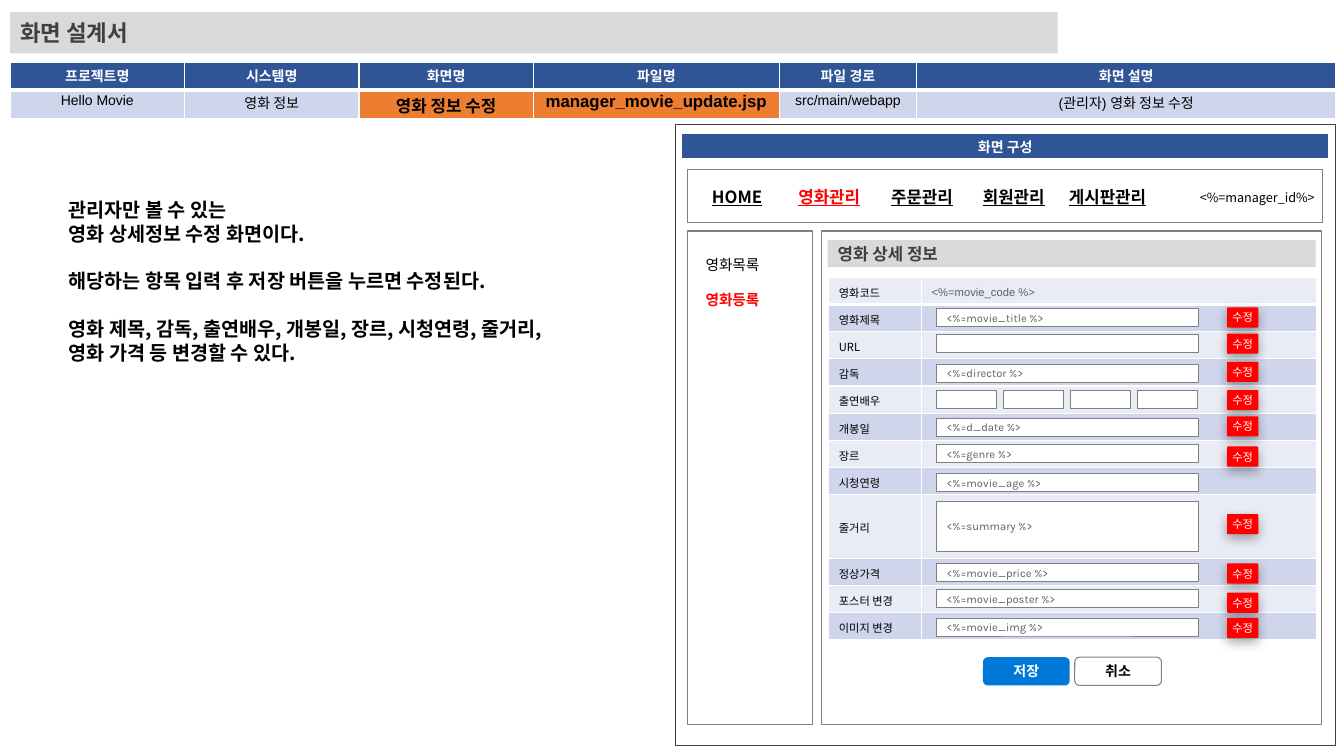
import pptx
import pptx.dml.color
import pptx.enum.shapes
import pptx.enum.text
import pptx.oxml.ns
import pptx.util
from lxml import etree

Inches = pptx.util.Inches
Pt = pptx.util.Pt
RGBColor = pptx.dml.color.RGBColor
PP_ALIGN = pptx.enum.text.PP_ALIGN
ANCHOR = pptx.enum.text.MSO_ANCHOR
SHAPE = pptx.enum.shapes.MSO_SHAPE
qn = pptx.oxml.ns.qn

WHITE = RGBColor(0xFF, 0xFF, 0xFF)
BLACK = RGBColor(0, 0, 0)
RED = RGBColor(0xFF, 0, 0)
NAVY = RGBColor(0x2F, 0x55, 0x97)
BLUE = RGBColor(0x00, 0x78, 0xD7)
ORANGE = RGBColor(0xED, 0x7D, 0x31)
DARK = RGBColor(0x40, 0x40, 0x40)
INK = RGBColor(0x5F, 0x5F, 0x5F)
GRAY = RGBColor(0x80, 0x80, 0x80)
LIGHT = RGBColor(0xD9, 0xD9, 0xD9)
BAND_DARK = RGBColor(0xCF, 0xD5, 0xEA)
BAND_LIGHT = RGBColor(0xE9, 0xEB, 0xF5)
KOREAN = "Noto Sans CJK KR"

FORM_ROWS = [
    ("영화코드", "<%=movie_code %>"), ("영화제목", ""), ("URL", ""), ("감독", ""),
    ("출연배우", ""), ("개봉일", ""), ("장르", ""), ("시청연령", ""),
    ("줄거리", ""), ("정상가격", ""), ("포스터 변경", ""), ("이미지 변경", ""),
]
INPUTS = [
    (3.06, "<%=movie_title %>"), (3.32, ""), (3.61, "<%=director %>"),
    (4.15, "<%=d_date %>"), (4.41, "<%=genre %>"), (4.7, "<%=movie_age %>"),
    (4.97, "<%=summary %>"), (5.59, "<%=movie_price %>"),
    (5.85, "<%=movie_poster %>"), (6.13, "<%=movie_img %>"),
]
EDIT_TOPS = [3.05, 3.31, 3.59, 3.87, 4.13, 4.43, 5.1, 5.59, 5.88, 6.13]
MENU = [(7.05, 0.52, "HOME"), (7.89, 0.67, "영화관리"), (8.81, 0.67, "주문관리"),
        (9.72, 0.67, "회원관리"), (10.55, 0.87, "게시판관리")]
OVERVIEW = [("프로젝트명", "Hello Movie"), ("시스템명", "영화 정보"),
            ("화면명", "영화 정보 수정"), ("파일명", "manager_movie_update.jsp"),
            ("파일 경로", "src/main/webapp"), ("화면 설명", "(관리자) 영화 정보 수정")]


def apply(obj, values):
    for name, value in values.items():
        setattr(obj, name, value)


def place(sp, box):
    apply(sp, dict(zip(("left", "top", "width", "height"), map(Inches, box))))


def write(p, text, size, color=BLACK, name=KOREAN, align=PP_ALIGN.LEFT, **font):
    p.alignment = align
    if not text:
        etree.SubElement(p._p, qn("a:endParaRPr"), sz=str(int(size * 100)))
        return
    r = p.add_run()
    r.text = text
    apply(r.font, {"size": Pt(size), "name": name, **font})
    r.font.color.rgb = color
    etree.SubElement(r._r.get_or_add_rPr(), qn("a:ea"), typeface=KOREAN)


def frame(tf, x=0.1, y=0.05, wrap=True, anchor=ANCHOR.MIDDLE):
    apply(tf, {"auto_size": pptx.enum.text.MSO_AUTO_SIZE.NONE,
               "word_wrap": wrap, "vertical_anchor": anchor,
               "margin_left": Inches(x), "margin_right": Inches(x),
               "margin_top": Inches(y), "margin_bottom": Inches(y)})
    return tf.paragraphs[0]


def add_box(s, box, fill=None, line=None, weight=1, radius=None):
    kind = SHAPE.RECTANGLE if radius is None else SHAPE.ROUNDED_RECTANGLE
    sp = s.shapes.add_shape(kind, *map(Inches, box))
    sp.shadow.inherit = False
    if radius is not None:
        sp.adjustments[0] = radius
    if fill is None:
        sp.fill.background()
    else:
        sp.fill.solid()
        sp.fill.fore_color.rgb = fill
    if line is None:
        sp.line.fill.background()
    else:
        sp.line.color.rgb = line
        sp.line.width = Pt(weight)
    return sp


def add_text(s, box, **options):
    tf = s.shapes.add_textbox(*map(Inches, box)).text_frame
    frame(tf, **options)
    return tf


def add_input(s, box, text=""):
    sp = add_box(s, box, WHITE, GRAY, 0.5)
    if text:
        write(frame(sp.text_frame, y=0.06), text, 8, INK, "Karla")


def add_button(s, left, text, color, **look):
    sp = add_box(s, (left, 6.52, 0.86, 0.28), radius=0.167, **look)
    write(frame(sp.text_frame, wrap=False), text, 10, color, "Karla", PP_ALIGN.CENTER, bold=True)


def add_edit_button(s, top):
    sp = add_box(s, (12.17, top, 0.31, 0.2), RED, radius=0.05)
    effects = sp._element.spPr.find(qn("a:effectLst"))
    shadow = etree.SubElement(effects, qn("a:outerShdw"), blurRad=str(Pt(8)),
                              dist=str(Pt(3)), dir="5400000", algn="t", rotWithShape="0")
    color = etree.SubElement(shadow, qn("a:srgbClr"), val=str(BLACK))
    etree.SubElement(color, qn("a:alpha"), val="35000")
    write(frame(sp.text_frame, 0, 0), "수정", 8, WHITE, "Karla", PP_ALIGN.CENTER)


def add_grid(s, left, top, widths, heights):
    size = (left, top, sum(widths), sum(heights))
    table = s.shapes.add_table(len(heights), len(widths), *map(Inches, size)).table
    apply(table, {"first_row": False, "horz_banding": False})
    for column, width in zip(table.columns, widths):
        column.width = Inches(width)
    for row, height in zip(table.rows, heights):
        row.height = Inches(height)
    return table


def format_cell(cell, fill, bottom=1, anchor=ANCHOR.TOP):
    apply(cell, {"vertical_anchor": anchor, "margin_top": Inches(0.03), "margin_bottom": 0})
    tcPr = cell._tc.get_or_add_tcPr()
    for side, weight in (("L", 1), ("R", 1), ("T", 1), ("B", bottom)):
        ln = etree.SubElement(tcPr, qn("a:ln" + side), w=str(Pt(weight)))
        solid = etree.SubElement(ln, qn("a:solidFill"))
        etree.SubElement(solid, qn("a:srgbClr"), val=str(WHITE))
    cell.fill.solid()
    cell.fill.fore_color.rgb = fill
    return cell.text_frame.paragraphs[0]


def add_heading(s):
    sp = s.shapes.title
    place(sp, (0.1, 0.12, 10.39, 0.41))
    sp.fill.solid()
    sp.fill.fore_color.rgb = LIGHT
    write(frame(sp.text_frame), "화면 설계서", 16, DARK, bold=True)


def add_description(s):
    sp = s.placeholders[1]
    place(sp, (0.58, 1.91, 5.17, 1.73))
    tf = sp.text_frame
    frame(tf, anchor=ANCHOR.TOP)
    lines = [("관리자만 볼 수 있는", 0), ("영화 상세정보 수정 화면이다.", 0),
             ("해당하는 항목 입력 후 저장 버튼을 누르면 수정된다.", 17),
             ("영화 제목, 감독, 출연배우, 개봉일, 장르, 시청연령, 줄거리, 영화 가격 등 변경할 수 있다.", 17)]
    for i, (text, gap) in enumerate(lines):
        p = tf.add_paragraph() if i else tf.paragraphs[0]
        apply(p, {"space_before": Pt(gap), "line_spacing": Pt(17)})
        pPr = p._p.get_or_add_pPr()
        apply_attributes = {"marL": "0", "indent": "0"}
        pPr.attrib.update(apply_attributes)
        etree.SubElement(pPr, qn("a:buNone"))
        write(p, text, 14, bold=True)


def add_overview(s):
    table = add_grid(s, 0.1, 0.62, [1.73, 1.73, 1.73, 2.44, 1.36, 4.16], [0.27, 0.29])
    for i, (label, value) in enumerate(OVERVIEW):
        key = i in (2, 3)
        p = format_cell(table.cell(0, i), NAVY, bottom=3)
        write(p, label, 10, WHITE, "Arial", PP_ALIGN.CENTER, bold=True)
        p = format_cell(table.cell(1, i), ORANGE if key else BAND_DARK)
        write(p, value, 12 if key else 10, BLACK, "Arial", PP_ALIGN.CENTER, bold=key)


def add_screen_frame(s):
    add_box(s, (6.7, 1.23, 6.54, 6.17), line=DARK, weight=0.5)
    table = add_grid(s, 6.76, 1.32, [6.42], [0.27])
    p = format_cell(table.cell(0, 0), NAVY, bottom=3)
    write(p, "화면 구성", 10, WHITE, align=PP_ALIGN.CENTER, bold=True)
    for box in ((6.82, 1.68, 6.3, 0.53), (6.82, 2.29, 1.24, 4.9), (8.15, 2.29, 4.96, 4.9)):
        add_box(s, box, line=GRAY)


def add_navigation(s):
    for left, width, text in MENU:
        tf = add_text(s, (left, 1.85, width, 0.2), x=0, y=0, wrap=False)
        write(tf.paragraphs[0], text, 12, RED if text == "영화관리" else BLACK,
              align=PP_ALIGN.CENTER, bold=True, underline=True)
    tf = add_text(s, (11.9, 1.89, 1.14, 0.15), x=0, y=0, anchor=ANCHOR.TOP)
    tf.paragraphs[0].line_spacing = Pt(10.7)
    write(tf.paragraphs[0], "<%=manager_id%>", 9)
    tf = add_text(s, (6.9, 2.49, 0.79, 0.63), wrap=False, anchor=ANCHOR.TOP)
    write(tf.paragraphs[0], "영화목록", 10.5)
    p = tf.add_paragraph()
    p.space_before = Pt(12.5)
    write(p, "영화등록", 10.5, RED, bold=True)
    for p in tf.paragraphs:
        p.line_spacing = Pt(12.5)


def add_form(s):
    sp = add_box(s, (8.21, 2.38, 4.84, 0.27), LIGHT)
    write(frame(sp.text_frame), "영화 상세 정보", 12, DARK, bold=True)
    heights = [0.63 if label == "줄거리" else 0.27 for label, _ in FORM_ROWS]
    table = add_grid(s, 8.22, 2.75, [0.92, 3.92], heights)
    for i, (label, value) in enumerate(FORM_ROWS):
        fill = BAND_DARK if i % 2 else BAND_LIGHT
        for j, (text, color, name) in enumerate(((label, BLACK, KOREAN), (value, INK, "Arial"))):
            p = format_cell(table.cell(i, j), fill, 1 if i else 3, ANCHOR.MIDDLE)
            write(p, text, 8, color, name)
    for top, text in INPUTS:
        add_input(s, (9.29, top, 2.6, 0.5 if "summary" in text else 0.18), text)
    for i in range(4):
        add_input(s, (9.29 + i * 0.665, 3.87, 0.59, 0.18))
    for top in EDIT_TOPS:
        add_edit_button(s, top)
    add_button(s, 10.66, "취소", BLACK, line=GRAY, weight=0.75)
    add_button(s, 9.75, "저장", WHITE, fill=BLUE)


def main():
    prs = pptx.Presentation()
    apply(prs, {"slide_width": Inches(13.33), "slide_height": Inches(7.5)})
    s = prs.slides.add_slide(prs.slide_layouts[1])
    add_heading(s)
    add_screen_frame(s)
    add_navigation(s)
    add_form(s)
    add_description(s)
    add_overview(s)
    prs.save("out.pptx")


if __name__ == "__main__":
    main()
